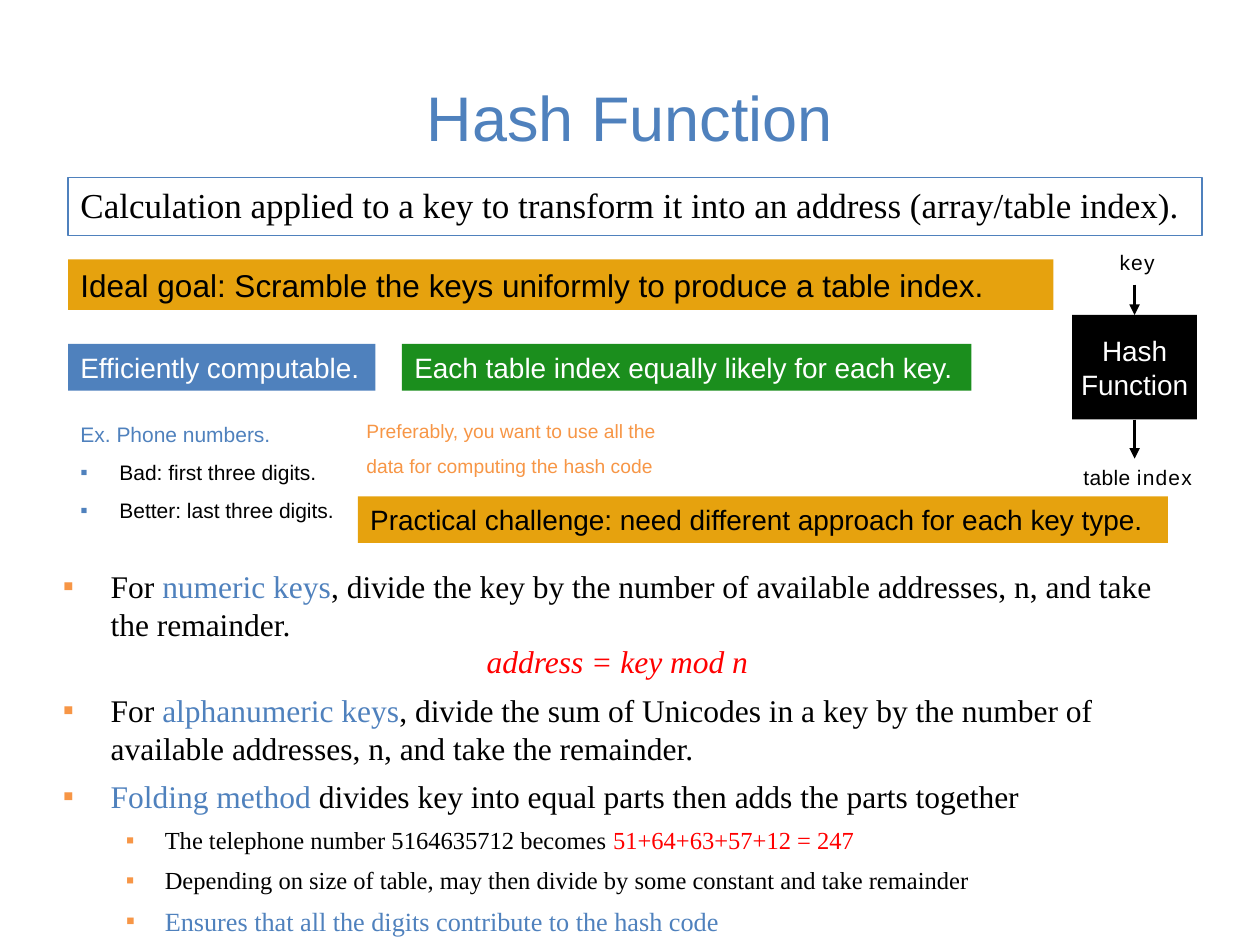
from lxml.etree import SubElement
from pptx import Presentation
from pptx.dml.color import RGBColor
from pptx.enum.shapes import MSO_CONNECTOR as Connector, MSO_SHAPE as Shape
from pptx.enum.text import MSO_ANCHOR as Anchor, PP_ALIGN as Align
from pptx.oxml.ns import qn
from pptx.util import Inches, Pt

BLACK = RGBColor(0x00, 0x00, 0x00)
WHITE = RGBColor(0xFF, 0xFF, 0xFF)
BLUE = RGBColor(0x4F, 0x81, 0xBD)
GOLD = RGBColor(0xE6, 0xA2, 0x0E)
GREEN = RGBColor(0x1B, 0x8E, 0x1D)
ORANGE = RGBColor(0xF7, 0x96, 0x46)
RED = RGBColor(0xFF, 0x00, 0x00)
SANS, SERIF = "Arial", "Times New Roman"

TITLE = "Hash Function"
DEFINITION = "Calculation applied to a key to transform it into an address (array/table index)."
BANNERS = [
    ("Ideal goal: Scramble the keys uniformly to produce a table index.",
     (0.54, 2.06, 7.82, 0.4), GOLD, BLACK, 18),
    ("Practical challenge: need different approach for each key type.",
     (2.84, 3.94, 6.43, 0.37), GOLD, BLACK, 16),
    ("Each table index equally likely for each key.",
     (3.19, 2.73, 4.52, 0.37), GREEN, WHITE, 16),
    ("Efficiently computable.", (0.54, 2.73, 2.44, 0.37), BLUE, WHITE, 16),
]
EXAMPLES = ["Bad: first three digits.", "Better: last three digits."]
ADVICE = "Preferably, you want to use all the data for computing the hash code"
METHODS = [
    (0, 18, [("For ", BLACK), ("numeric keys", BLUE),
             (", divide the key by the number of available addresses, n, and take the remainder.", BLACK)]),
    (None, 18, [("address = key mod n", RED)]),
    (0, 18, [("For ", BLACK), ("alphanumeric keys", BLUE),
             (", divide the sum of Unicodes in a key by the number of available addresses, n, "
              "and take the remainder.", BLACK)]),
    (0, 18, [("Folding method ", BLUE),
             ("divides key into equal parts then adds the parts together", BLACK)]),
    (1, 14, [("The telephone number 5164635712 becomes ", BLACK), ("51+64+63+57+12 = 247", RED)]),
    (1, 14, [("Depending on size of table, may then divide by some constant and take remainder", BLACK)]),
    (1, 15, [("Ensures that all the digits contribute to the hash code", BLUE)]),
]
METHOD_INDENTS = [(0.38, 0.38), (0.81, 0.31)]

presentation = Presentation()
presentation.slide_width, presentation.slide_height = Inches(10), Inches(7.5)
slide = presentation.slides.add_slide(presentation.slide_layouts[6])


def set_bullet(paragraph, margin, hanging, color):
    properties = paragraph._p.get_or_add_pPr()
    properties.set("marL", str(Inches(margin)))
    properties.set("indent", str(-Inches(hanging)))
    bullet_color = SubElement(properties, qn("a:buClr"))
    SubElement(bullet_color, qn("a:srgbClr"), val=str(color))
    SubElement(properties, qn("a:buFont"), typeface=SANS)
    SubElement(properties, qn("a:buChar"), char="▪")


def set_font(paragraph, name, size, color=None):
    paragraph.font.name, paragraph.font.size = name, Pt(size)
    if color is not None:
        paragraph.font.color.rgb = color


def add_paragraph(frame, index):
    return frame.add_paragraph() if index else frame.paragraphs[0]


def add_text_box(box, anchor=Anchor.TOP, wrap=True, inset=True):
    shape = slide.shapes.add_textbox(*map(Inches, box))
    frame = shape.text_frame
    frame.word_wrap, frame.vertical_anchor = wrap, anchor
    if not inset:
        frame.margin_left = frame.margin_top = frame.margin_right = frame.margin_bottom = 0
    return frame


def add_rectangle(box, fill=None, line=None):
    shape = slide.shapes.add_shape(Shape.RECTANGLE, *map(Inches, box))
    shape.shadow.inherit = False
    if fill is None:
        shape.fill.background()
    else:
        shape.fill.solid()
        shape.fill.fore_color.rgb = fill
    if line is None:
        shape.line.fill.background()
    else:
        shape.line.color.rgb, shape.line.width = line, Pt(0.75)
    shape.text_frame.word_wrap = True
    shape.text_frame.vertical_anchor = Anchor.TOP
    return shape


def write_line(frame, text, name, size, color, align=Align.LEFT):
    paragraph = frame.paragraphs[0]
    paragraph.text, paragraph.alignment = text, align
    set_font(paragraph, name, size, color)
    return paragraph


def add_arrow(x, top, bottom):
    arrow = slide.shapes.add_connector(
        Connector.STRAIGHT, x, Inches(top), x, Inches(bottom))
    arrow.line.color.rgb, arrow.line.width = BLACK, Pt(2)
    SubElement(arrow.line._get_or_add_ln(), qn("a:tailEnd"), type="triangle")
    SubElement(arrow._element.spPr, qn("a:effectLst"))
    return arrow


def add_flow_label(box, parts):
    frame = add_text_box(box, Anchor.MIDDLE, wrap=False, inset=False)
    paragraph = frame.paragraphs[0]
    paragraph.alignment = Align.CENTER
    set_font(paragraph, SANS, 12, BLACK)
    for text, spacing in parts:
        run = paragraph.add_run()
        run.text = text
        run._r.get_or_add_rPr().set("spc", str(spacing))
    return paragraph


write_line(add_text_box((0.5, 0.3, 9, 1.25), Anchor.MIDDLE), TITLE, SANS, 36, BLUE, Align.CENTER)
write_line(add_rectangle((0.54, 1.41, 9, 0.46), line=BLUE).text_frame, DEFINITION, SERIF, 20, BLACK)
for text, box, fill, color, size in BANNERS:
    write_line(add_rectangle(box, fill).text_frame, text, SANS, size, color)

function_box = add_rectangle((8.51, 2.5, 0.99, 0.83), BLACK)
frame = function_box.text_frame
frame.margin_left = frame.margin_top = frame.margin_right = frame.margin_bottom = 0
frame.vertical_anchor = Anchor.MIDDLE
for index, word in enumerate(TITLE.split()):
    paragraph = add_paragraph(frame, index)
    paragraph.text, paragraph.alignment = word, Align.CENTER
    set_font(paragraph, SANS, 16, WHITE)

center = function_box.left + function_box.width // 2
add_arrow(center, 2.26, 2.5).end_connect(function_box, 0)
add_arrow(center, 3.33, 3.64).begin_connect(function_box, 2)
add_flow_label((8.87, 1.97, 0.31, 0.22), [("key", 70)])
add_flow_label((8.51, 3.65, 1.04, 0.23), [("table ", 20), ("index", 70)]).line_spacing = 1.2

frame = add_text_box((0.4, 4.45, 9, 2.96))
for index, (level, size, parts) in enumerate(METHODS):
    paragraph = add_paragraph(frame, index)
    if level is None:
        paragraph.alignment = Align.CENTER
        paragraph.font.italic = True
    else:
        paragraph.level = level
        set_bullet(paragraph, *METHOD_INDENTS[level], ORANGE)
        if index:
            paragraph.space_before = Pt(3)
    if index:
        paragraph.space_after = Pt(3)
    set_font(paragraph, SERIF, size)
    for text, color in parts:
        run = paragraph.add_run()
        run.text, run.font.color.rgb = text, color

frame = add_text_box((0.54, 3.2, 2.24, 0.97), wrap=False)
write_line(frame, "Ex. Phone numbers.", SANS, 12, BLUE).line_spacing = 1.5
for text in EXAMPLES:
    paragraph = frame.add_paragraph()
    paragraph.text, paragraph.line_spacing = text, 1.5
    set_bullet(paragraph, 0.31, 0.31, BLUE)
    set_font(paragraph, SANS, 12, BLACK)

frame = add_text_box((2.81, 3.19, 2.72, 0.62))
write_line(frame, ADVICE, SANS, 11, ORANGE).line_spacing = 1.5

presentation.save("out.pptx")
